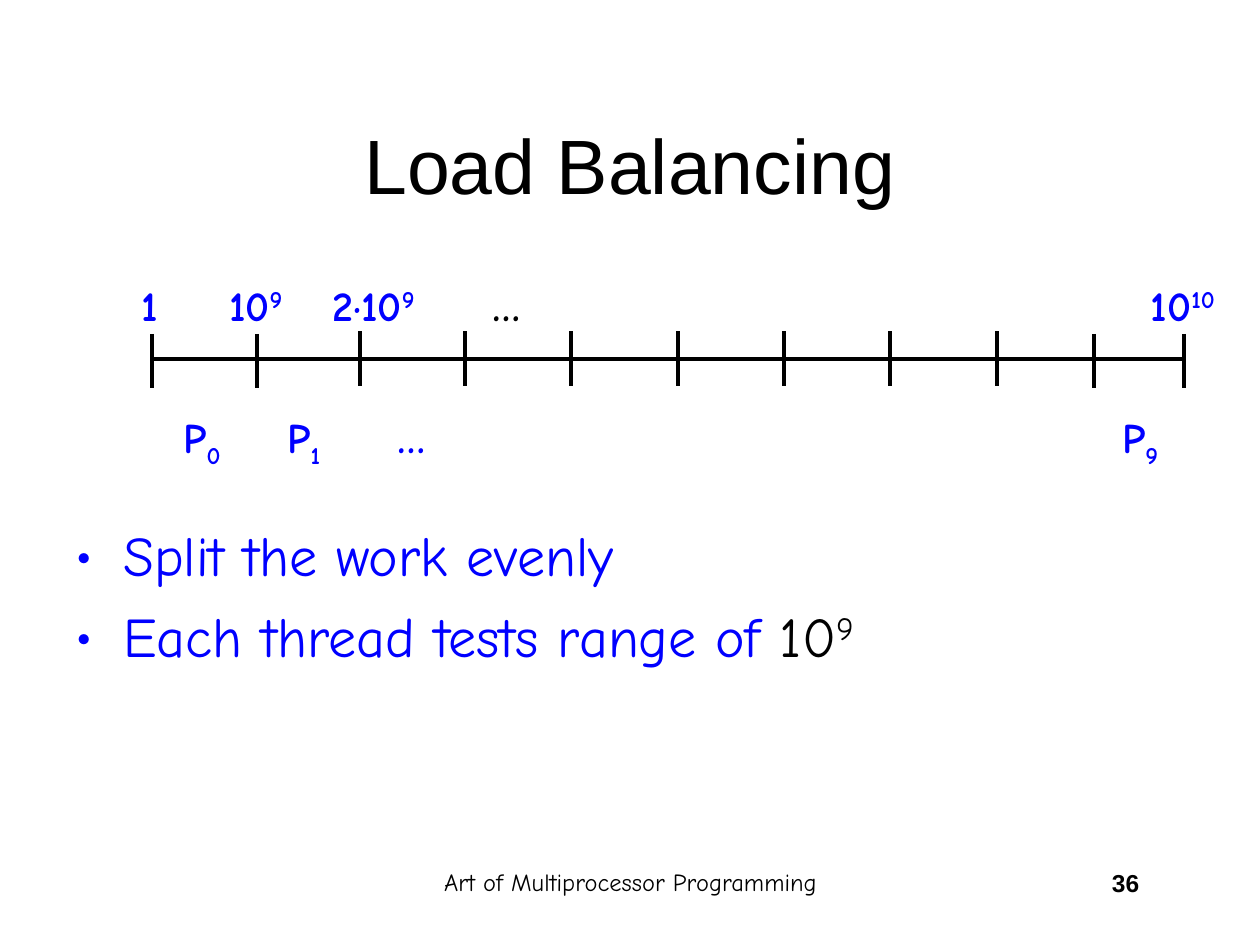
from lxml import etree
from pptx import Presentation
from pptx.dml.color import RGBColor
from pptx.enum.shapes import MSO_CONNECTOR
from pptx.enum.text import MSO_ANCHOR, MSO_AUTO_SIZE, PP_ALIGN
from pptx.oxml.ns import qn
from pptx.util import Inches, Pt

LEFT, MID, RIGHT = PP_ALIGN.LEFT, PP_ALIGN.CENTER, PP_ALIGN.RIGHT
MIDDLE, TOP = MSO_ANCHOR.MIDDLE, MSO_ANCHOR.TOP
FIT = MSO_AUTO_SIZE.SHAPE_TO_FIT_TEXT
STRAIGHT = MSO_CONNECTOR.STRAIGHT
BLACK = RGBColor(0, 0, 0)
BLUE = RGBColor(0, 0, 255)

HEAD = {"name": "Arial", "size": Pt(44)}
BODY = {"name": "Comic Neue", "size": Pt(32)}
LABEL = {"name": "Comic Neue", "size": Pt(24), "bold": True}
FOOT = {"name": "Comic Neue", "size": Pt(14)}
PAGE = {"name": "Arial", "size": Pt(14), "bold": True}
SUPER, SUB = 30, -25

TICKS = [(1.21, 2.65), (2.04, 2.65), (2.86, 2.63), (3.69, 2.63), (4.53, 2.63),
         (5.38, 2.63), (6.22, 2.63), (7.06, 2.63), (7.91, 2.63), (8.68, 2.65),
         (9.4, 2.65)]
TICK = 0.43
BOUNDS = [(0.98, 0.37, "1", ""), (1.68, 0.66, "10", "9"),
          (2.49, 0.9, "2·10", "9"), (8.99, 0.75, "10", "10")]
THREADS = [(1.31, 0.54, "0"), (2.13, 0.51, "1"), (8.76, 0.53, "9")]


def add_run(para, text, style, color, shift=0):
    """Add one run, raised or lowered by shift percent."""
    run = para.add_run()
    run.text = text
    for key, value in style.items():
        setattr(run.font, key, value)
    run.font.color.rgb = color
    if shift:
        run.font._element.set("baseline", str(shift * 1000))


def add_box(slide, place, align=LEFT, wrap=True, anchor=TOP):
    """Add a text box and return its frame."""
    frame = slide.shapes.add_textbox(*map(Inches, place)).text_frame
    frame.word_wrap = wrap
    frame.vertical_anchor = anchor
    if not wrap:
        frame.auto_size = FIT
    frame.paragraphs[0].alignment = align
    return frame


def add_text(slide, place, text, style, align, anchor=TOP):
    """Add a box with a single black line of text."""
    frame = add_box(slide, place, align, anchor=anchor)
    add_run(frame.paragraphs[0], text, style, BLACK)


def add_label(slide, place, text, small="", shift=0, align=RIGHT, color=BLUE):
    """Add a bold label with an optional small index."""
    para = add_box(slide, place, align, wrap=False).paragraphs[0]
    add_run(para, text, LABEL, color)
    if small:
        add_run(para, small, LABEL, color, shift)


def add_line(slide, *ends):
    """Add a plain black line."""
    line = slide.shapes.add_connector(STRAIGHT, *map(Inches, ends))
    line.line.color.rgb = BLACK
    line.line.width = Pt(2.25)
    etree.SubElement(line._element.spPr, qn("a:effectLst"))


def add_bullet(para):
    """Give a paragraph a blue bullet and a hanging indent."""
    props = para._p.get_or_add_pPr()
    props.set("marL", str(Inches(0.38)))
    props.set("indent", str(Inches(-0.38)))
    tint = etree.SubElement(props, qn("a:buClr"))
    etree.SubElement(tint, qn("a:srgbClr")).set("val", str(BLUE))
    etree.SubElement(props, qn("a:buFont")).set("typeface", BODY["name"])
    etree.SubElement(props, qn("a:buChar")).set("char", "•")


def add_points(slide):
    """Add the two bullet points."""
    frame = add_box(slide, (0.5, 4.08, 9, 1.76))
    first, second = frame.paragraphs[0], frame.add_paragraph()
    for para in (first, second):
        add_bullet(para)
    second.space_before = Pt(8)
    add_run(first, "Split the work evenly", BODY, BLUE)
    add_run(second, "Each thread tests range of ", BODY, BLUE)
    add_run(second, "10", BODY, BLACK)
    add_run(second, "9", BODY, BLACK, SUPER)


def add_scale(slide):
    """Add the number line with its bounds and threads."""
    add_line(slide, TICKS[0][0], 2.85, TICKS[-1][0], 2.85)
    for x, y in TICKS:
        add_line(slide, x, y, x, y + TICK)
    for x, width, text, power in BOUNDS:
        add_label(slide, (x, 2.17, width, 0.5), text, power, SUPER)
    for x, width, index in THREADS:
        add_label(slide, (x, 3.22, width, 0.56), "P", index, SUB)
    for x, y, color in ((3.81, 2.17, BLACK), (3.06, 3.22, BLUE)):
        add_label(slide, (x, y, 0.42, 0.5), "…", align=LEFT, color=color)


def main():
    """Build and save the slide."""
    deck = Presentation()
    deck.slide_width, deck.slide_height = Inches(10), Inches(7.5)
    slide = deck.slides.add_slide(deck.slide_layouts[6])
    add_text(slide, (0.75, 0.67, 8.5, 1.25), "Load Balancing", HEAD, MID, MIDDLE)
    add_scale(slide)
    add_points(slide)
    add_text(slide, (3.42, 6.83, 3.17, 0.5),
             "Art of Multiprocessor Programming", FOOT, MID)
    add_text(slide, (7.06, 6.84, 2.08, 0.5), "36", PAGE, RIGHT)
    deck.save("out.pptx")


if __name__ == "__main__":
    main()
